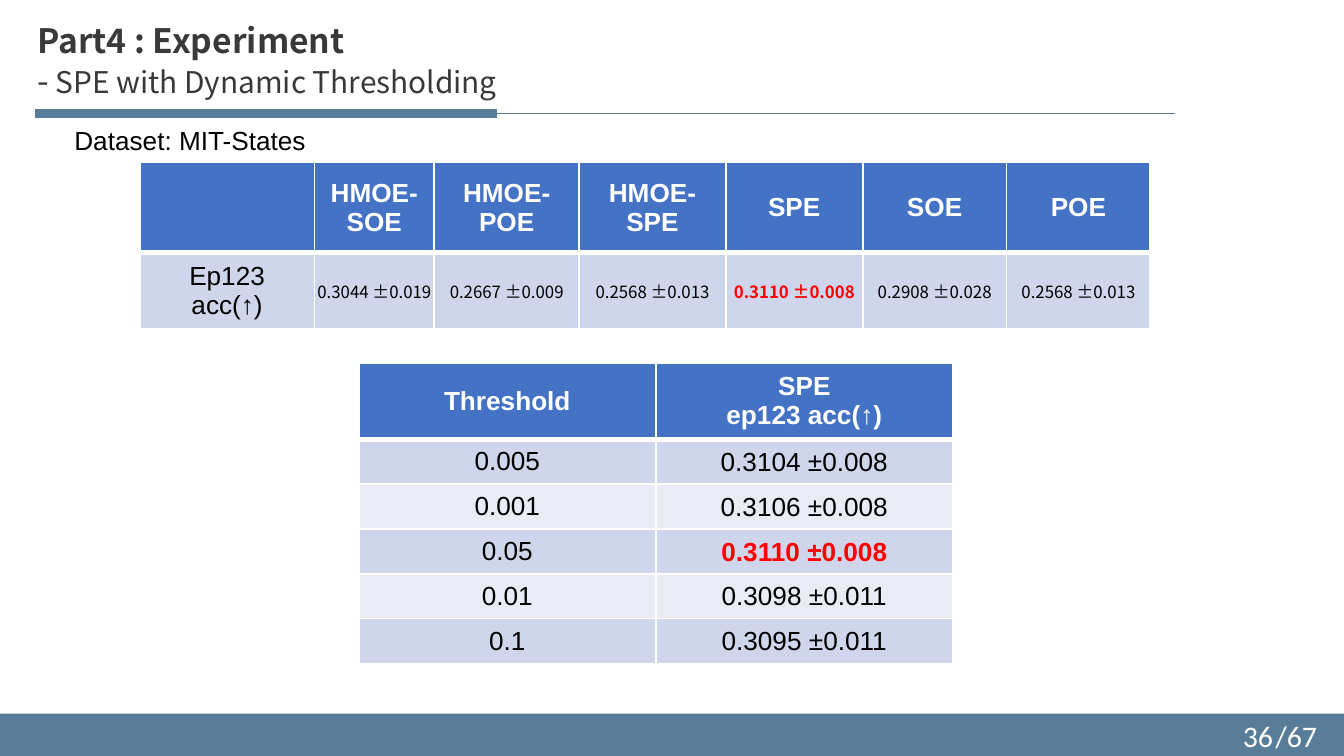
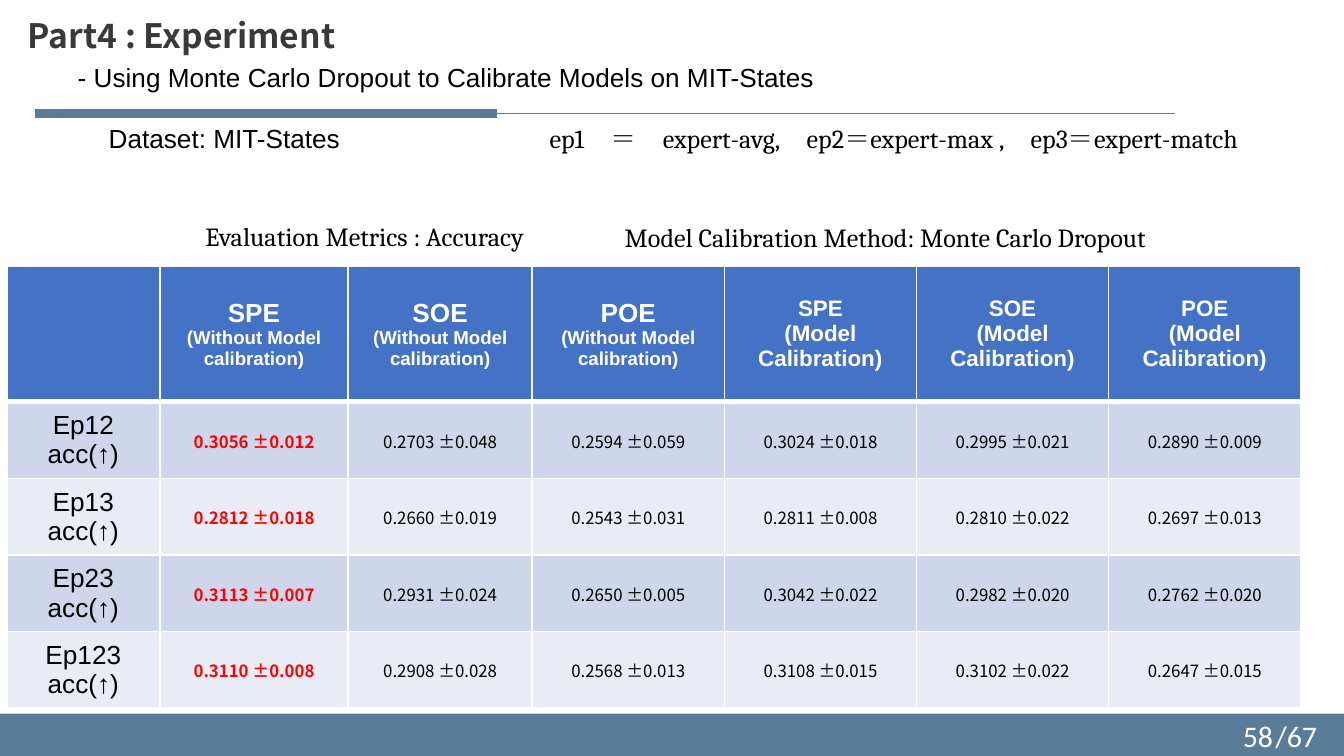
from lxml.etree import SubElement
from pptx import Presentation
from pptx.dml.color import RGBColor
from pptx.enum.shapes import MSO_CONNECTOR, MSO_SHAPE
from pptx.enum.text import MSO_ANCHOR, MSO_AUTO_SIZE, PP_ALIGN
from pptx.oxml.ns import qn
from pptx.util import Inches, Pt

SLATE = RGBColor(0x59, 0x7D, 0x98)
CHARCOAL = RGBColor(0x3B, 0x38, 0x38)
BLUE = RGBColor(0x44, 0x72, 0xC4)
DARK_ROW = RGBColor(0xCF, 0xD5, 0xEA)
LIGHT_ROW = RGBColor(0xE9, 0xEB, 0xF5)
BLACK = RGBColor(0, 0, 0)
WHITE = RGBColor(0xFF, 0xFF, 0xFF)
RED = RGBColor(0xFF, 0, 0)

BODY_FONT = "Arial"
TITLE_FONT = "Noto Sans CJK SC"
VALUE_FONT = "Noto Sans CJK JP"
SERIF_FONT = "Cambria"
FOOTER_FONT = "Calibri"

SECTION = "Part4 : Experiment"
DATASET = "Dataset: MIT-States"
PAGE_TOTAL = 67
TITLE_FORMAT = dict(size=18, font=TITLE_FONT, color=CHARCOAL)


def add_span(para, text, size=14, font=BODY_FONT, color=BLACK, bold=False):
    span = para.add_run()
    span.text = text
    span.font.size = Pt(size)
    span.font.name = font
    span.font.bold = bold
    span.font.color.rgb = color
    SubElement(span.font._element, qn("a:ea")).set("typeface", font)


def write_lines(frame, text, align=PP_ALIGN.LEFT, sizes=(14,), **style):
    for index, line in enumerate(text.split("\n")):
        para = frame.add_paragraph() if index else frame.paragraphs[0]
        para.alignment = align
        add_span(para, line, size=sizes[min(index, len(sizes) - 1)], **style)


def add_text_box(page, box, grow=True, wrap=True, anchor=MSO_ANCHOR.TOP):
    frame = page.shapes.add_textbox(*map(Inches, box)).text_frame
    frame.word_wrap = wrap
    frame.vertical_anchor = anchor
    frame.auto_size = MSO_AUTO_SIZE.SHAPE_TO_FIT_TEXT if grow else MSO_AUTO_SIZE.NONE
    return frame


def add_text(page, box, text, **style):
    write_lines(add_text_box(page, box), text, **style)


def add_bar(page, box, outlined=False):
    bar = page.shapes.add_shape(MSO_SHAPE.RECTANGLE, *map(Inches, box))
    bar.shadow.inherit = False
    bar.fill.solid()
    bar.fill.fore_color.rgb = SLATE
    if outlined:
        bar.line.color.rgb = SLATE
        bar.line.width = Pt(1)
        SubElement(bar.line._ln, qn("a:miter"), lim="800000")
    else:
        bar.line.fill.background()
    return bar


def add_title_rule(page, left, top, width, bar_width, bar_height):
    middle = Inches(top + bar_height / 2)
    rule = page.shapes.add_connector(
        MSO_CONNECTOR.STRAIGHT, Inches(left + width), middle, Inches(left), middle)
    rule.line.color.rgb = SLATE
    rule.line.width = Pt(0.75)
    SubElement(rule._element.spPr, qn("a:effectLst"))
    bar = add_bar(page, (left, top, bar_width, bar_height), outlined=True)
    rule.end_connect(bar, 1)


def add_footer(page, left, top, width, height, number):
    add_bar(page, (left, top, width, height))
    parts = (
        (left + width - 0.69, 0.67, f"/{PAGE_TOTAL}", PP_ALIGN.CENTER),
        (left + width - 2.68, 2.25, str(number), PP_ALIGN.RIGHT),
    )
    for part_left, part_width, text, align in parts:
        frame = add_text_box(page, (part_left, top + 0.01, part_width, 0.3),
                             grow=False, anchor=MSO_ANCHOR.MIDDLE)
        write_lines(frame, text, align=align, sizes=(16,), font=FOOTER_FONT, color=WHITE)


def set_borders(cell, top, bottom):
    properties = cell._tc.get_or_add_tcPr()
    for side, width in (("L", 1), ("R", 1), ("T", top), ("B", bottom)):
        line = SubElement(properties, qn(f"a:ln{side}"), w=str(Pt(width)))
        fill = SubElement(line, qn("a:solidFill"))
        SubElement(fill, qn("a:srgbClr"), val=str(WHITE))


def add_result_table(page, left, top, widths, heights, rows, best, header_sizes=None,
                     value_font=VALUE_FONT, value_size=9):
    header_sizes = header_sizes or [(14,)] * len(widths)
    table = page.shapes.add_table(
        len(rows), len(widths), Inches(left), Inches(top),
        Inches(sum(widths)), Inches(sum(heights))).table
    for column, width in zip(table.columns, widths):
        column.width = Inches(width)
    for row, height in zip(table.rows, heights):
        row.height = Inches(height)
    for row_index, texts in enumerate(rows):
        for column_index, text in enumerate(texts):
            cell = table.cell(row_index, column_index)
            set_borders(cell, 3 if row_index == 1 else 1, 1 if row_index else 3)
            cell.fill.solid()
            cell.vertical_anchor = MSO_ANCHOR.MIDDLE
            style = dict(align=PP_ALIGN.CENTER)
            if row_index == 0:
                cell.fill.fore_color.rgb = BLUE
                style.update(sizes=header_sizes[column_index], color=WHITE, bold=True)
            else:
                cell.fill.fore_color.rgb = DARK_ROW if row_index % 2 else LIGHT_ROW
                if column_index:
                    cell.margin_left = cell.margin_right = cell.margin_top = Inches(0.01)
                    cell.margin_bottom = 0
                    style.update(sizes=(value_size,), font=value_font)
                if (row_index, column_index) in best:
                    style.update(color=RED, bold=True)
            if text:
                write_lines(cell.text_frame, text, **style)


def start_page(deck, number):
    page = deck.slides.add_slide(deck.slide_layouts[6])
    add_title_rule(page, 0.27, 0.82, 8.47, 3.42, 0.05)
    add_footer(page, 0, 5.31, 10, 0.32, number)
    return page


def build_threshold_page(deck):
    page = start_page(deck, 36)
    para = add_text_box(page, (0.18, 0.1, 3.77, 0.71), wrap=False).paragraphs[0]
    add_span(para, SECTION, bold=True, **TITLE_FORMAT)
    para.add_line_break()
    add_span(para, "-", **TITLE_FORMAT)
    add_span(para, " SPE with Dynamic Thresholding", **{**TITLE_FORMAT, "size": 16})

    add_result_table(
        page, 2.67, 2.7, [2.21] * 2, [0.56] + [0.33] * 5,
        [
            ("Threshold", "SPE\nep123 acc(↑)"),
            ("0.005", "0.3104 ±0.008"),
            ("0.001", "0.3106 ±0.008"),
            ("0.05", "0.3110 ±0.008"),
            ("0.01", "0.3098 ±0.011"),
            ("0.1", "0.3095 ±0.011"),
        ],
        best={(3, 1)}, value_font=BODY_FONT, value_size=14)
    add_text(page, (0.41, 0.88, 2.01, 0.34), DATASET, align=PP_ALIGN.CENTER)
    add_result_table(
        page, 1.04, 1.21, [1.3, 0.89, 1.08, 1.09, 1.02, 1.07, 1.07], [0.67, 0.57],
        [
            ("", "HMOE-SOE", "HMOE-POE", "HMOE-SPE", "SPE", "SOE", "POE"),
            ("Ep123 acc(↑)", "0.3044 ±0.019", "0.2667 ±0.009", "0.2568 ±0.013",
             "0.3110 ±0.008", "0.2908 ±0.028", "0.2568 ±0.013"),
        ],
        best={(1, 4)})


def build_calibration_page(deck):
    page = start_page(deck, 58)
    add_text(page, (0.48, 0.41, 9.77, 0.34),
             "- Using Monte Carlo Dropout to Calibrate Models on MIT-States")
    add_text(page, (0.11, 0.06, 7.07, 0.4), SECTION, sizes=(18,),
             font=TITLE_FONT, color=CHARCOAL, bold=True)
    add_text(page, (0.24, 0.86, 2.86, 0.34), DATASET, align=PP_ALIGN.CENTER)
    notes = (
        (3.99, 0.86, 5.68, "ep1　＝　expert-avg,　ep2＝expert-max ,　ep3＝expert-match"),
        (1.43, 1.59, 5.12, "Evaluation Metrics : Accuracy"),
        (4.55, 1.6, 5.12, "Model Calibration Method: Monte Carlo Dropout"),
    )
    for left, top, width, text in notes:
        add_text(page, (left, top, width, 0.34), text, font=SERIF_FONT)

    models = ("SPE", "SOE", "POE")
    header = [""]
    header += [f"{model}\n(Without Model calibration)" for model in models]
    header += [f"{model}\n(Model Calibration)" for model in models]
    add_result_table(
        page, 0.05, 1.98, [1.14, 1.4, 1.37] + [1.43] * 4, [1.01] + [0.57] * 4,
        [
            header,
            ("Ep12 acc(↑)", "0.3056 ±0.012", "0.2703 ±0.048", "0.2594 ±0.059",
             "0.3024 ±0.018", "0.2995 ±0.021", "0.2890 ±0.009"),
            ("Ep13\nacc(↑)", "0.2812 ±0.018", "0.2660 ±0.019", "0.2543 ±0.031",
             "0.2811 ±0.008", "0.2810 ±0.022", "0.2697 ±0.013"),
            ("Ep23\nacc(↑)", "0.3113 ±0.007", "0.2931 ±0.024", "0.2650 ±0.005",
             "0.3042 ±0.022", "0.2982 ±0.020", "0.2762 ±0.020"),
            ("Ep123\nacc(↑)", "0.3110 ±0.008", "0.2908 ±0.028", "0.2568 ±0.013",
             "0.3108 ±0.015", "0.3102 ±0.022", "0.2647 ±0.015"),
        ],
        best={(row, 1) for row in range(1, 5)},
        header_sizes=[(14,)] + [(14, 10)] * 3 + [(12,)] * 3)


def main():
    deck = Presentation()
    deck.slide_width = Inches(10)
    deck.slide_height = Inches(10 * 9 / 16)
    build_threshold_page(deck)
    build_calibration_page(deck)
    deck.save("out.pptx")


if __name__ == "__main__":
    main()
